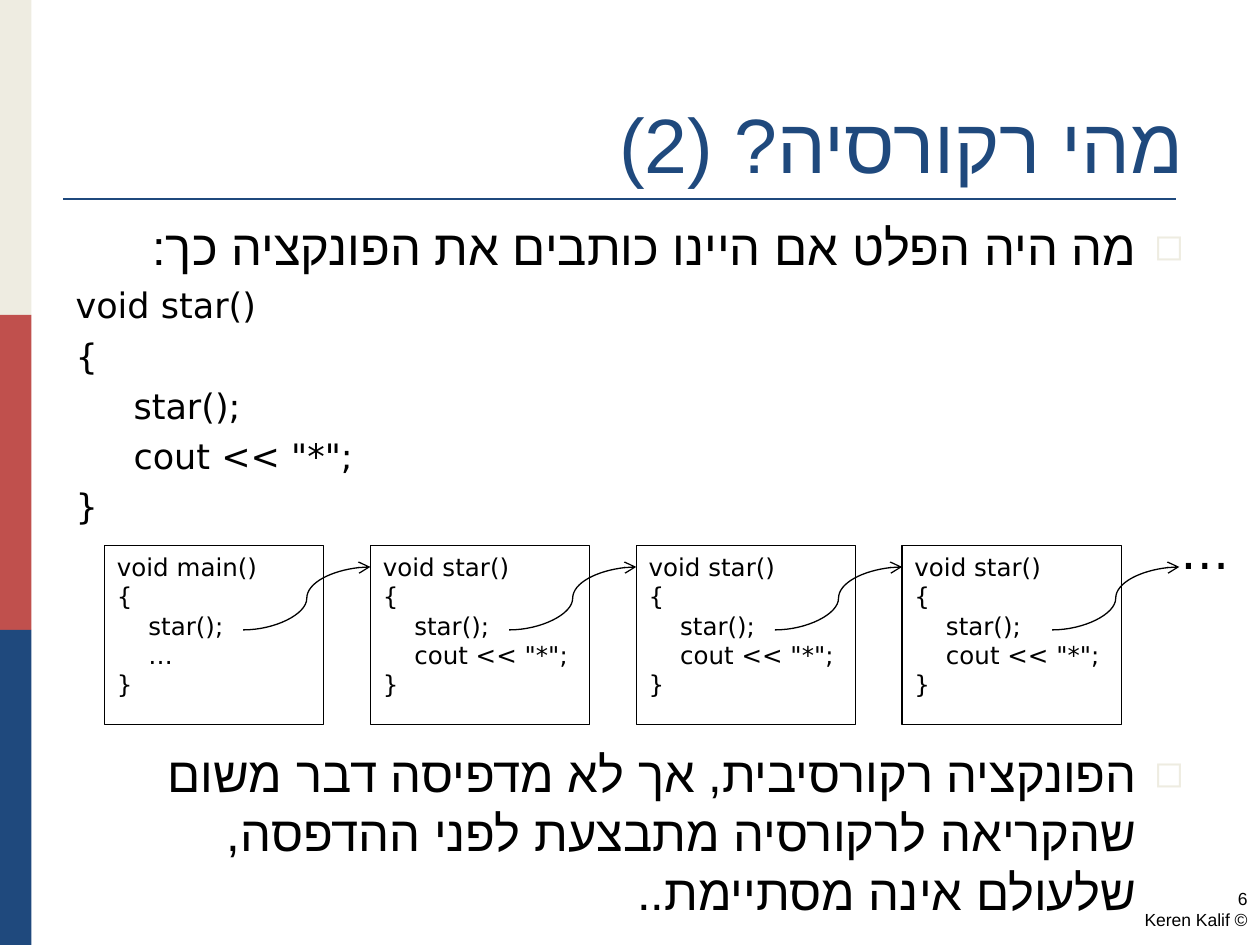
from dataclasses import dataclass

from lxml.etree import SubElement
from pptx import Presentation
from pptx.dml.color import RGBColor
from pptx.enum.shapes import MSO_CONNECTOR as Connector, MSO_SHAPE as Shape
from pptx.enum.text import MSO_ANCHOR as Anchor, MSO_AUTO_SIZE as AutoSize, PP_ALIGN as Align
from pptx.oxml.ns import qn
from pptx.util import Inches, Pt


@dataclass(frozen=True)
class Theme:
    navy: str = "1F497D"
    red: str = "C0504D"
    cream: str = "EEECE1"
    black: str = "000000"
    code_font: str = "DejaVu Sans"
    title_font: str = "Times New Roman"
    hebrew_font: str = "Arial"
    title_size: int = 44
    body_size: int = 28
    code_size: int = 20
    box_size: int = 14
    footer_size: int = 10


theme = Theme()


def format_paragraph(paragraph, size, font=theme.code_font, color=theme.black,
                     rtl=False, left=0, hanging=0, before=0):
    paragraph.alignment = Align.RIGHT if rtl else Align.LEFT
    paragraph.space_before = Pt(before)
    properties = paragraph._p.get_or_add_pPr()
    properties.set("marL", str(Inches(left)))
    properties.set("indent", str(Inches(-hanging)))
    properties.set("rtl", str(int(rtl)))
    if hanging:
        bullet_color = SubElement(properties, qn("a:buClr"))
        SubElement(bullet_color, qn("a:srgbClr"), val=theme.cream)
        SubElement(properties, qn("a:buSzPct"), val="75000")
        SubElement(properties, qn("a:buFont"), typeface=theme.code_font)
        SubElement(properties, qn("a:buChar"), char="◻")
    else:
        SubElement(properties, qn("a:buNone"))
    for run in paragraph.runs:
        run.font.size = Pt(size)
        run.font.name = font
        run.font.color.rgb = RGBColor.from_string(color)
        complex_font = theme.hebrew_font if rtl else font
        SubElement(run._r.get_or_add_rPr(), qn("a:cs"), typeface=complex_font)


def add_line(kind, start, end, color, width):
    line = slide.shapes.add_connector(kind, *map(Inches, start + end))
    line.line.color.rgb = RGBColor.from_string(color)
    line.line.width = Pt(width)
    SubElement(line._element.spPr, qn("a:effectLst"))
    return line


presentation = Presentation()
presentation.slide_width, presentation.slide_height = Inches(10), Inches(7.5)
slide = presentation.slides.add_slide(presentation.slide_layouts[1])

for index, color in enumerate((theme.cream, theme.red, theme.navy)):
    bar = slide.shapes.add_shape(Shape.RECTANGLE, 0, Inches(2.5 * index), Inches(0.25), Inches(2.5))
    bar.shadow.inherit = False
    bar.fill.solid()
    bar.fill.fore_color.rgb = RGBColor.from_string(color)
    bar.line.fill.background()

add_line(Connector.STRAIGHT, (0.5, 1.58), (9.33, 1.58), theme.navy, 1.5)

title = slide.shapes.title
title.left, title.top, title.width, title.height = map(Inches, (0.5, 0.3, 9, 1.25))
title.text_frame.text = "מהי רקורסיה? (2)"
title.text_frame.vertical_anchor = Anchor.BOTTOM
title.text_frame.auto_size = AutoSize.NONE
format_paragraph(title.text_frame.paragraphs[0], theme.title_size, theme.title_font, theme.navy, rtl=True)

body = slide.placeholders[1]
body.left, body.top, body.width, body.height = map(Inches, (0.5, 1.67, 9, 5.04))
body.text_frame.auto_size = AutoSize.NONE
hebrew = dict(size=theme.body_size, rtl=True, left=0.38, hanging=0.38)
code = dict(size=theme.code_size, before=4.7)
body_lines = (
    ("מה היה הפלט אם היינו כותבים את הפונקציה כך:", dict(hebrew, before=6.5)),
    ("void star()", code),
    ("{", code),
    ("star();", dict(code, left=0.46)),
    ('cout << "*";', dict(code, left=0.46)),
    ("}", code),
    ("הפונקציה רקורסיבית, אך לא מדפיסה דבר משום שהקריאה לרקורסיה מתבצעת "
     "לפני ההדפסה, שלעולם אינה מסתיימת..", dict(hebrew, before=124)),
)
body.text_frame.text = "\n".join(text for text, _ in body_lines)
for paragraph, (_, style) in zip(body.text_frame.paragraphs, body_lines):
    format_paragraph(paragraph, **style)

calls = [("main", "…")] + [("star", 'cout << "*";')] * 3
for index, (name, statement) in enumerate(calls):
    box = slide.shapes.add_shape(Shape.RECTANGLE, Inches(0.83 + 2.11 * index), Inches(4.33),
                                 Inches(1.74), Inches(1.42))
    box.shadow.inherit = False
    box.fill.background()
    box.line.color.rgb = RGBColor.from_string(theme.black)
    box.line.width = Pt(0.75)
    box.text_frame.vertical_anchor = Anchor.TOP
    box.text_frame.text = f"void {name}()\n{{\nstar();\n{statement}\n}}"
    for row, paragraph in enumerate(box.text_frame.paragraphs):
        format_paragraph(paragraph, theme.box_size, left=0.25 if row in (2, 3) else 0)

for start in (1.93, 4.04, 6.15, 8.35):
    arrow = add_line(Connector.CURVE, (start, 5), (start + 1.01, 4.5), theme.black, 0.75)
    SubElement(arrow.line._get_or_add_ln(), qn("a:tailEnd"), type="arrow")

text_boxes = (
    ((9.27, 4.08, 0.73, 0.57), "…", dict(size=theme.body_size)),
    ((7.67, 7, 2.33, 0.5), "6\n© Keren Kalif",
     dict(size=theme.footer_size, font=theme.hebrew_font, rtl=True)),
)
for place, text, style in text_boxes:
    text_box = slide.shapes.add_textbox(*map(Inches, place))
    text_box.text_frame.word_wrap = True
    text_box.text_frame.text = text
    for paragraph in text_box.text_frame.paragraphs:
        format_paragraph(paragraph, **style)

presentation.save("out.pptx")
